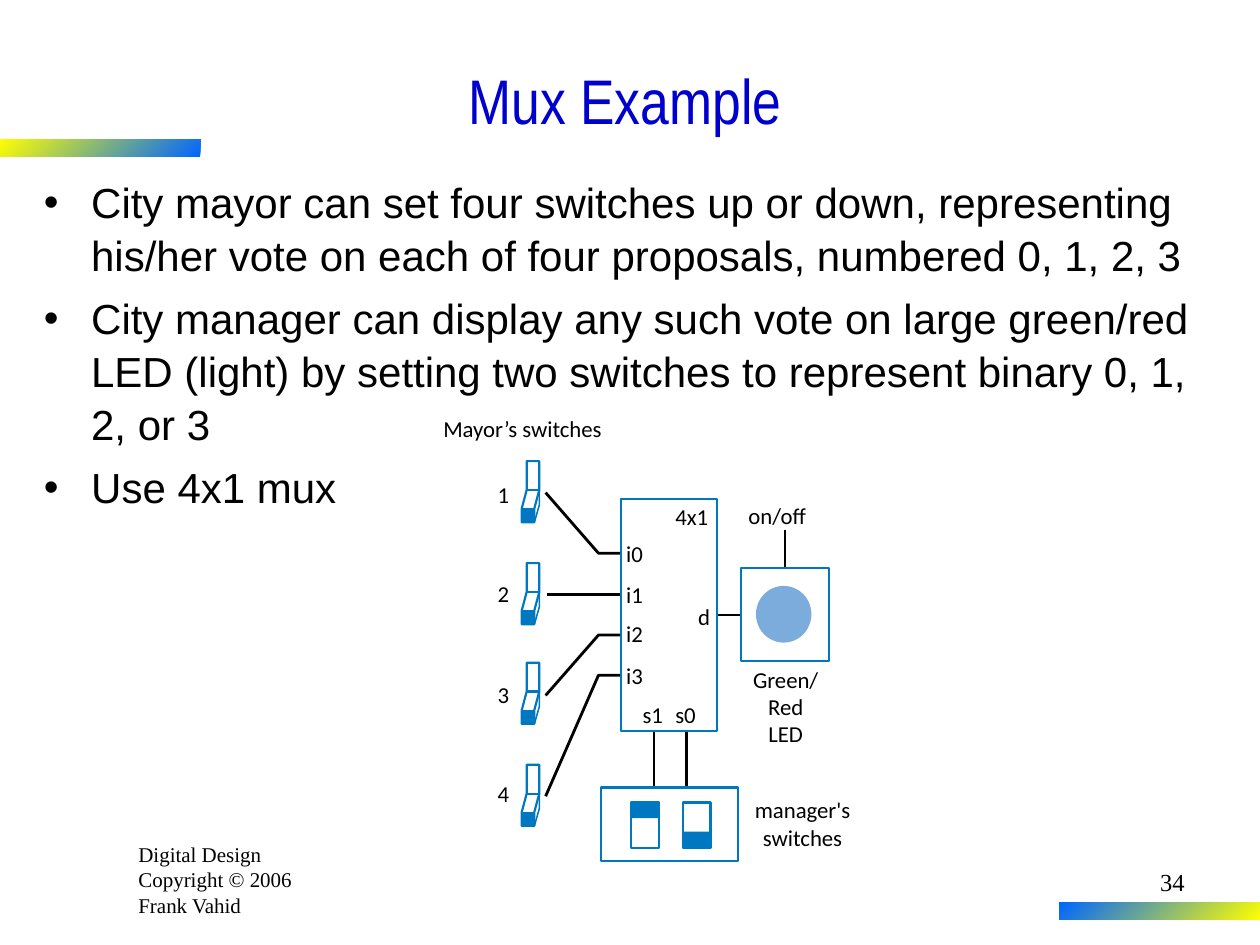
from dataclasses import dataclass
from typing import Optional, Sequence

from lxml import etree
from pptx import Presentation
from pptx import util as u
from pptx.dml.color import RGBColor
from pptx.enum import shapes, text
from pptx.oxml import ns

COLORS = {"black": "000000", "title": "0000CC", "outline": "0078C1",
          "led": "7BACDC", "blue": "0066FF", "yellow": "FFFF00"}
WIRE, EDGE, THIN = 1.62, 1.25, 0.88
Point = tuple[float, float]


@dataclass
class Font:
    name: str
    size: float
    color: str = "black"


@dataclass
class Label:
    lines: Sequence[str]
    left: float
    top: float
    width: float


@dataclass
class Block:
    left: float
    top: float
    width: float
    height: float
    fill: Optional[str] = None
    kind: shapes.MSO_SHAPE = shapes.MSO_SHAPE.RECTANGLE


BODY_FONT = Font("Arial", 24)
LABEL_FONT = Font("Calibri", 13)
CENTER, RIGHT = text.PP_ALIGN.CENTER, text.PP_ALIGN.RIGHT


def rgb(name: str) -> RGBColor:
    return RGBColor.from_string(COLORS[name])


def write(frame, lines: Sequence[str], font: Font, align=None) -> None:
    for i, line in enumerate(lines):
        para = frame.paragraphs[0] if i == 0 else frame.add_paragraph()
        para.alignment = align
        run = para.add_run()
        run.text = line
        run.font.name, run.font.size = font.name, u.Pt(font.size)
        run.font.color.rgb = rgb(font.color)


def add_text(slide, left: float, top: float, width: float, height: float,
             lines: Sequence[str], font: Font, align=None):
    frame = slide.shapes.add_textbox(
        u.Pt(left), u.Pt(top), u.Pt(width), u.Pt(height)).text_frame
    frame.word_wrap = True
    write(frame, lines, font, align)
    return frame


def add_label(slide, label: Label) -> None:
    align = CENTER if len(label.lines) > 1 else None
    frame = add_text(slide, label.left, label.top, label.width,
                     15.7 * len(label.lines), label.lines, LABEL_FONT, align)
    frame.word_wrap = False
    frame.margin_left = frame.margin_right = 0
    frame.margin_top = frame.margin_bottom = 0


def add_block(slide, block: Block):
    """A filled block has no outline; an unfilled one is outlined."""
    shape = slide.shapes.add_shape(
        block.kind, u.Pt(block.left), u.Pt(block.top),
        u.Pt(block.width), u.Pt(block.height))
    shape.shadow.inherit = False
    if block.fill:
        shape.fill.solid()
        shape.fill.fore_color.rgb = rgb(block.fill)
        shape.line.fill.background()
    else:
        shape.fill.background()
        shape.line.color.rgb = rgb("outline")
        shape.line.width = u.Pt(EDGE)
    return shape


def add_line(slide, start: Point, end: Point, color: str, width: float) -> None:
    line = slide.shapes.add_connector(
        shapes.MSO_CONNECTOR.STRAIGHT, *(u.Pt(v) for v in (*start, *end)))
    line.line.color.rgb = rgb(color)
    line.line.width = u.Pt(width)
    etree.SubElement(line._element.spPr, ns.qn("a:effectLst"))


def add_path(slide, points: Sequence[Point], color: str, width: float,
             close: bool = False) -> None:
    grid = [(x * 100, y * 100) for x, y in points]
    builder = slide.shapes.build_freeform(*grid[0], scale=u.Pt(1) / 100)
    builder.add_line_segments(grid[1:], close=close)
    path = builder.convert_to_shape()
    path.shadow.inherit = False
    path.fill.background()
    path.line.color.rgb = rgb(color)
    path.line.width = u.Pt(width)


def add_bar(slide, left: float, top: float, stops: Sequence[str]) -> None:
    bar = add_block(slide, Block(left, top, 114.5, 10.1, stops[0]))
    bar.fill.gradient()
    bar.fill.gradient_angle = 135
    for stop, color in zip(bar.fill.gradient_stops, stops):
        stop.color.rgb = rgb(color)


def add_bullet(para) -> None:
    props = para._p.get_or_add_pPr()
    props.set("marL", str(u.Pt(27)))
    props.set("indent", str(u.Pt(-27)))
    etree.SubElement(props, ns.qn("a:buFont"), typeface="Arial")
    etree.SubElement(props, ns.qn("a:buChar"), char="•")


def add_switch(slide, left: float, top: float) -> None:
    """Toggle switch seen at an angle, in the down position."""
    def at(*points: Point) -> list[Point]:
        return [(left + x, top + y) for x, y in points]

    add_path(slide, at((7.2, 34.9), (7.2, 27.4), (10.1, 16.5), (10.1, 0),
                       (2.9, 0), (2.9, 16.5), (0, 27.4), (0, 34.9)),
             "outline", EDGE, close=True)
    add_block(slide, Block(left, top + 27.4, 7.2, 7.5, "outline"))
    add_path(slide, at((10.1, 16.5), (10.1, 25.2), (7.2, 35.3)), "outline", THIN)
    for ends in (at((0.7, 27.4), (7.2, 27.4)), at((2.9, 16.5), (10.1, 16.5))):
        add_line(slide, *ends, "outline", EDGE)


def main() -> None:
    deck = Presentation()
    deck.slide_width, deck.slide_height = u.Pt(720), u.Pt(540)
    slide = deck.slides.add_slide(deck.slide_layouts[5])

    # Footer and colour bars
    add_text(slide, 72, 477.4, 120.2, 50.4,
             ["Digital Design", "Copyright © 2006", "Frank Vahid"],
             Font("Times New Roman", 12))
    add_bar(slide, 0, 79.6, ("blue", "yellow"))
    add_bar(slide, 605.5, 515.6, ("yellow", "blue"))

    # Title
    title = slide.shapes.title
    title.left, title.top = u.Pt(18), u.Pt(23.8)
    title.width, title.height = u.Pt(678.2), u.Pt(66.2)
    title.text_frame.vertical_anchor = text.MSO_ANCHOR.MIDDLE
    write(title.text_frame, ["Mux Example"], Font("Arial Narrow", 36, "title"), CENTER)

    # Bullets
    body = add_text(slide, 18, 95.8, 678.2, 223.9, [
        "City mayor can set four switches up or down, representing his/her "
        "vote on each of four proposals, numbered 0, 1, 2, 3",
        "City manager can display any such vote on large green/red LED (light) "
        "by setting two switches to represent binary 0, 1, 2, or 3",
        "Use 4x1 mux"], BODY_FONT)
    for i, para in enumerate(body.paragraphs):
        add_bullet(para)
        para.line_spacing = 1.05
        para.space_before = u.Pt(6 if i else 0)

    # Wires
    for start, end in (((410.4, 351.4), (423.4, 351.4)),
                       ((448.6, 324.7), (448.6, 303.1)),
                       ((312.5, 339.8), (355, 339.8)),
                       ((373.7, 450), (373.7, 417.6)),
                       ((392.4, 450), (392.4, 417.6))):
        add_line(slide, start, end, "black", WIRE)
    for pin_y, switch_y in ((316.1, 281.5), (362.9, 397.4), (385.9, 455)):
        add_path(slide, [(355, pin_y), (342, pin_y), (311.8, switch_y)], "black", WIRE)

    # Mux, LED and manager's switches
    for block in (Block(355, 285.1, 54.7, 132.5),
                  Block(423.4, 324.7, 50.4, 53.3),
                  Block(432, 334.8, 31.7, 32.4, "led", shapes.MSO_SHAPE.OVAL),
                  Block(343.4, 450, 78.5, 41.8),
                  Block(390.2, 458.6, 15.8, 25.9),
                  Block(360.7, 458.6, 15.8, 25.9),
                  Block(389.9, 475.2, 16.4, 8.9, "outline"),
                  Block(360.7, 458.6, 16.4, 8.9, "outline")):
        add_block(slide, block)

    # Mayor's switches
    for number, (switch_top, label_top) in enumerate(
            ((263.5, 275), (321.8, 331.2), (378.7, 388.8), (437, 445.7)), 1):
        add_switch(slide, 298.1, switch_top)
        add_label(slide, Label([str(number)], 284.4, label_top, 7.2))

    # Labels
    for pin, top in enumerate((308.2, 331.9, 354.2, 378)):
        add_label(slide, Label([f"i{pin}"], 357.8, top, 10.8))
    for label in (Label(["4x1"], 385.9, 287.3, 21.6),
                  Label(["s1"], 367.2, 400.3, 13.7),
                  Label(["s0"], 385.9, 400.3, 13.7),
                  Label(["d"], 398.9, 344.2, 7.9),
                  Label(["Mayor’s switches"], 253.4, 236.9, 103),
                  Label(["manager's", "switches"], 426.2, 455, 64.8),
                  Label(["Green/", "Red", "LED"], 427.7, 380.2, 42.5),
                  Label(["on/off"], 427.7, 286.6, 37.4)):
        add_label(slide, label)

    # Slide number
    add_text(slide, 534.2, 491.8, 149.8, 36, ["34"], Font("Times New Roman", 14), RIGHT)
    deck.save("out.pptx")


if __name__ == "__main__":
    main()
